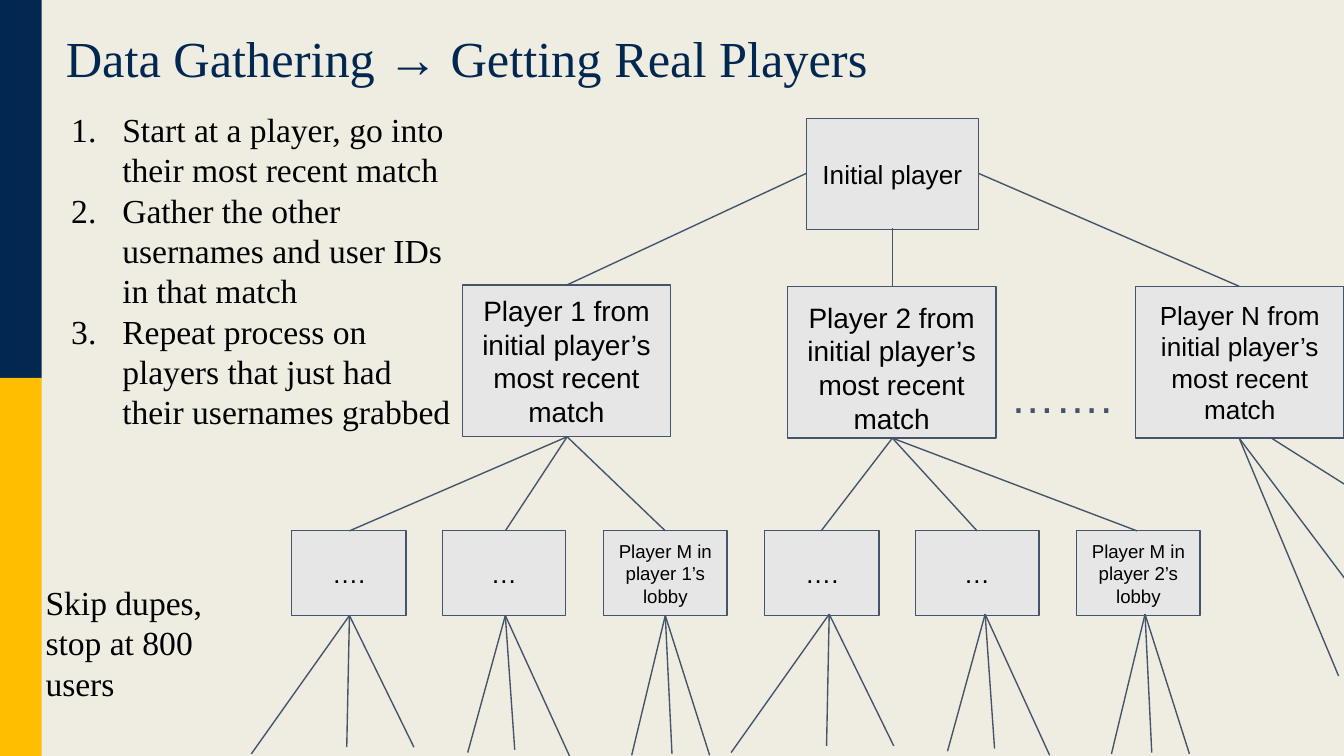
"""Build the slide on gathering real players as a tree of matches."""
import dataclasses

import lxml.etree
import pptx
import pptx.dml.color
import pptx.enum.shapes
import pptx.enum.text
import pptx.oxml.ns
import pptx.util

Inches = pptx.util.Inches
Pt = pptx.util.Pt
SHAPES = pptx.enum.shapes.MSO_SHAPE
ALIGN = pptx.enum.text.PP_ALIGN
ANCHOR = pptx.enum.text.MSO_ANCHOR
FIT = pptx.enum.text.MSO_AUTO_SIZE
qn = pptx.oxml.ns.qn

WIDTH = 10
HEIGHT = WIDTH * 9 / 16
COLORS = {"paper": "EFEDE2", "navy": "022851", "gold": "FFBF00",
          "box": "E7E6E6", "line": "44546A", "ink": "000000"}
SERIF = "Times New Roman"
SANS = "Arial"
STEPS = ["Start at a player, go into their most recent match",
         "Gather the other usernames and user IDs in that match",
         "Repeat process on players that just had their usernames grabbed"]


@dataclasses.dataclass
class Node:
    """A box of the tree."""
    text: str
    left: float
    top: float
    width: float
    height: float
    size: float = 14
    inset: float = 0.1


@dataclasses.dataclass
class Fan:
    """Lines that spread from one point to many."""
    x: float
    y: float
    ends: list[tuple[float, float]]


def color(name: str) -> pptx.dml.color.RGBColor:
    """Return a named color."""
    return pptx.dml.color.RGBColor.from_string(COLORS[name])


def place(shape, left: float, top: float, width: float, height: float) -> None:
    """Move and size a shape."""
    shape.left, shape.top = Inches(left), Inches(top)
    shape.width, shape.height = Inches(width), Inches(height)


def pad(frame, side: float = 0.1, edge: float = 0.1) -> None:
    """Set the insets and wrap of a text frame."""
    frame.margin_left = frame.margin_right = Inches(side)
    frame.margin_top = frame.margin_bottom = Inches(edge)
    frame.word_wrap = True


def style(para, size: float, face: str, tint: str = "ink") -> None:
    """Set the font of a paragraph."""
    para.font.size, para.font.name = Pt(size), face
    para.font.color.rgb = color(tint)


def draw_bar(slide, top: float, tint: str) -> None:
    """Draw half of the side stripe."""
    bar = slide.shapes.add_shape(SHAPES.RECTANGLE, 0, Inches(top),
                                 Inches(0.31), Inches(HEIGHT / 2))
    bar.shadow.inherit = False
    bar.fill.solid()
    bar.fill.fore_color.rgb = color(tint)
    bar.line.fill.background()


def draw_node(slide, node: Node) -> None:
    """Draw one box with its text."""
    box = slide.shapes.add_shape(SHAPES.RECTANGLE, Inches(node.left), Inches(node.top),
                                 Inches(node.width), Inches(node.height))
    box.shadow.inherit = False
    box.fill.solid()
    box.fill.fore_color.rgb = color("box")
    box.line.color.rgb = color("line")
    box.line.width = Pt(0.75)
    frame = box.text_frame
    pad(frame)
    frame.margin_top = Inches(node.inset)
    frame.vertical_anchor = ANCHOR.MIDDLE
    frame.text = node.text
    frame.paragraphs[0].alignment = ALIGN.CENTER
    style(frame.paragraphs[0], node.size, SANS)


def draw_fan(slide, fan: Fan) -> None:
    """Draw every line of a fan."""
    for x, y in fan.ends:
        line = slide.shapes.add_connector(pptx.enum.shapes.MSO_CONNECTOR.STRAIGHT,
                                          Inches(fan.x), Inches(fan.y), Inches(x), Inches(y))
        line.line.color.rgb = color("line")
        line.line.width = Pt(0.75)
        lxml.etree.SubElement(line._element.spPr, qn("a:effectLst"))


def draw_note(slide, text: str, spot: tuple[float, float, float, float],
              size: float, face: str, tint: str) -> None:
    """Draw loose text."""
    note = slide.shapes.add_textbox(*map(Inches, spot))
    pad(note.text_frame)
    note.text_frame.text = text
    style(note.text_frame.paragraphs[0], size, face, tint)


def fill_title(slide) -> None:
    """Place and format the title."""
    title = slide.shapes.title
    place(title, 0.42, 0.11, 6.67, 0.69)
    frame = title.text_frame
    frame.text = "Data Gathering → Getting Real Players"
    pad(frame, 0.07, 0.04)
    frame.auto_size = FIT.NONE
    frame.vertical_anchor = ANCHOR.MIDDLE
    para = frame.paragraphs[0]
    para.alignment = ALIGN.LEFT
    para.line_spacing = 0.9
    style(para, 27, SERIF, "navy")


def fill_steps(slide) -> None:
    """Place and format the numbered list."""
    body = slide.placeholders[1]
    place(body, 0.31, 0.71, 3.21, 2.63)
    frame = body.text_frame
    frame.text = "\n".join(STEPS)
    pad(frame)
    frame.auto_size = FIT.SHAPE_TO_FIT_TEXT
    frame.vertical_anchor = ANCHOR.TOP
    for para in frame.paragraphs:
        para.space_before = Pt(0)
        style(para, 18, SERIF)
        props = para._p.get_or_add_pPr()
        props.set("marL", str(Inches(0.5)))
        props.set("indent", str(Inches(-0.38)))
        mark = lxml.etree.Element(qn("a:buAutoNum"), type="arabicPeriod")
        props.find(qn("a:defRPr")).addprevious(mark)


def draw_tree(slide) -> None:
    """Draw the boxes and lines of the tree."""
    phrase = "Player {} from initial player’s most recent match"
    nodes = [Node("Initial player", 6, 0.88, 1.28, 0.83),
             Node(phrase.format(1), 3.44, 2.12, 1.55, 1.13, 15),
             Node(phrase.format(2), 5.86, 2.13, 1.55, 1.13, 15, 0.18),
             Node(phrase.format("N"), 8.45, 2.13, 1.55, 1.13)]
    fans = [Fan(6, 1.29, [(4.22, 2.12)]),
            Fan(6.64, 1.7, [(6.64, 2.13)]),
            Fan(7.28, 1.29, [(9.22, 2.13)]),
            Fan(9.22, 3.26, [(10.01, 4.31), (9.96, 5.03)]),
            Fan(9.46, 3.26, [(10.03, 3.62)])]
    roots = [2.6, 3.76, 4.95]
    rays = [[(-0.73, 1.03), (-0.02, 0.98), (0.48, 0.98)],
            [(-0.28, 1.02), (0.07, 1), (0.48, 1.05)],
            [(-0.25, 1.04), (0.05, 1.03), (0.33, 1.04)]]
    groups = [(1, 4.22, 3.25, 0, 0, 0, 4.58), (2, 6.64, 3.26, 3.52, 3.51, 3.57, 4.57)]
    for count, x, y, shift, top_shift, low_shift, base in groups:
        nodes += [Node("….", 2.17 + shift, 3.95, 0.85, 0.63),
                  Node("…", 3.29 + shift, 3.95, 0.92, 0.63),
                  Node(f"Player M in player {count}’s lobby", 4.49 + shift, 3.95, 0.92, 0.63, 10)]
        fans.append(Fan(x, y, [(root + top_shift, 3.95) for root in roots]))
        for root, ray in zip(roots, rays):
            start = root + low_shift
            fans.append(Fan(start, base, [(start + dx, base + dy) for dx, dy in ray]))
    for node in nodes:
        draw_node(slide, node)
    for fan in fans:
        draw_fan(slide, fan)


def main() -> None:
    """Build and save the deck."""
    deck = pptx.Presentation()
    deck.slide_width, deck.slide_height = Inches(WIDTH), Inches(HEIGHT)
    slide = deck.slides.add_slide(deck.slide_layouts[1])
    slide.background.fill.solid()
    slide.background.fill.fore_color.rgb = color("paper")
    draw_bar(slide, 0, "navy")
    draw_bar(slide, HEIGHT / 2, "gold")
    fill_title(slide)
    fill_steps(slide)
    draw_tree(slide)
    draw_note(slide, "…….", (7.42, 2.64, 1.03, 0.63), 24, SANS, "line")
    draw_note(slide, "Skip dupes, stop at 800 users", (0.24, 4.23, 1.62, 1.13), 18, SERIF, "ink")
    deck.save("out.pptx")


if __name__ == "__main__":
    main()
